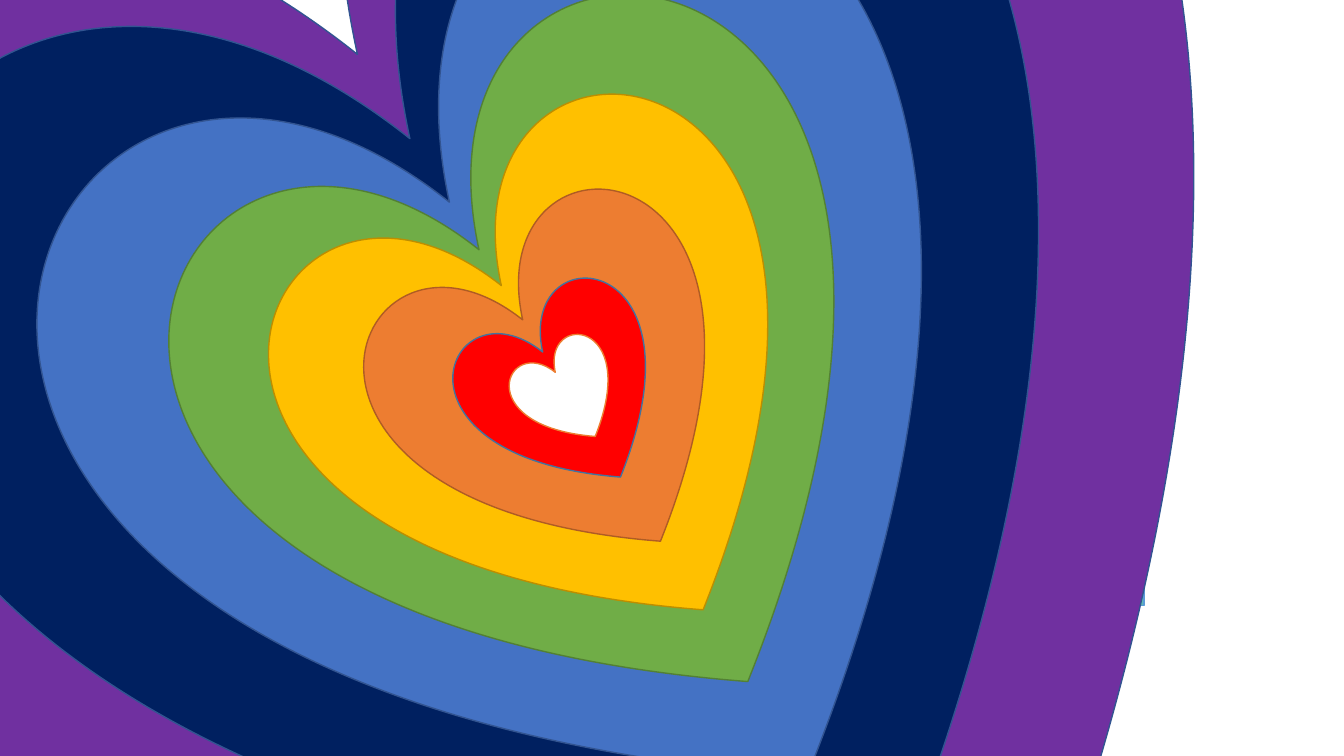
"""Build a slide of concentric tilted rainbow hearts."""
from pptx import Presentation
from pptx.dml.color import RGBColor
from pptx.enum.shapes import MSO_SHAPE
from pptx.util import Cm, Pt

HEART = MSO_SHAPE.HEART
RECTANGLE = MSO_SHAPE.RECTANGLE

PURPLE = RGBColor(0x70, 0x30, 0xA0)
NAVY = RGBColor(0x00, 0x20, 0x60)
BLUE = RGBColor(0x44, 0x72, 0xC4)
GREEN = RGBColor(0x70, 0xAD, 0x47)
YELLOW = RGBColor(0xFF, 0xC0, 0x00)
ORANGE = RGBColor(0xED, 0x7D, 0x31)
RED = RGBColor(0xFF, 0x00, 0x00)
WHITE = RGBColor(0xFF, 0xFF, 0xFF)
TEAL = RGBColor(0x5F, 0xB8, 0xB4)
SKY = RGBColor(0x5B, 0x9B, 0xD5)
DARK_BLUE = RGBColor(0x32, 0x54, 0x91)
DARK_GREEN = RGBColor(0x53, 0x80, 0x35)
DARK_YELLOW = RGBColor(0xBD, 0x8E, 0x00)
DARK_ORANGE = RGBColor(0xAF, 0x5C, 0x24)
STEEL = RGBColor(0x43, 0x73, 0x9E)

HEARTS = [
    (40.28, PURPLE, DARK_BLUE),
    (30.28, NAVY, DARK_BLUE),
    (22.73, BLUE, DARK_BLUE),
    (17.09, GREEN, DARK_GREEN),
    (12.83, YELLOW, DARK_YELLOW),
    (8.76, ORANGE, DARK_ORANGE),
    (4.95, RED, STEEL),
    (2.54, WHITE, ORANGE),
]
CENTER_X, CENTER_Y = 14.33, 9.92
TILT = 328.1
PANEL = (6.1, 2.03, 22.73, 13.23)


def add_filled_shape(shapes, kind, box, fill, line):
    shape = shapes.add_shape(kind, *(Cm(length) for length in box))
    shape.shadow.inherit = False
    shape.fill.solid()
    shape.fill.fore_color.rgb = fill
    shape.line.color.rgb = line
    shape.line.width = Pt(1)
    return shape


def main():
    presentation = Presentation()
    presentation.slide_width = Cm(33.87)
    presentation.slide_height = Cm(19.05)
    slide = presentation.slides.add_slide(presentation.slide_layouts[6])

    add_filled_shape(slide.shapes, RECTANGLE, PANEL, TEAL, SKY)
    rainbow = slide.shapes.add_group_shape()
    for size, fill, line in HEARTS:
        box = (CENTER_X - size / 2, CENTER_Y - size / 2, size, size)
        heart = add_filled_shape(rainbow.shapes, HEART, box, fill, line)
        heart.rotation = TILT

    presentation.save("out.pptx")


if __name__ == "__main__":
    main()
